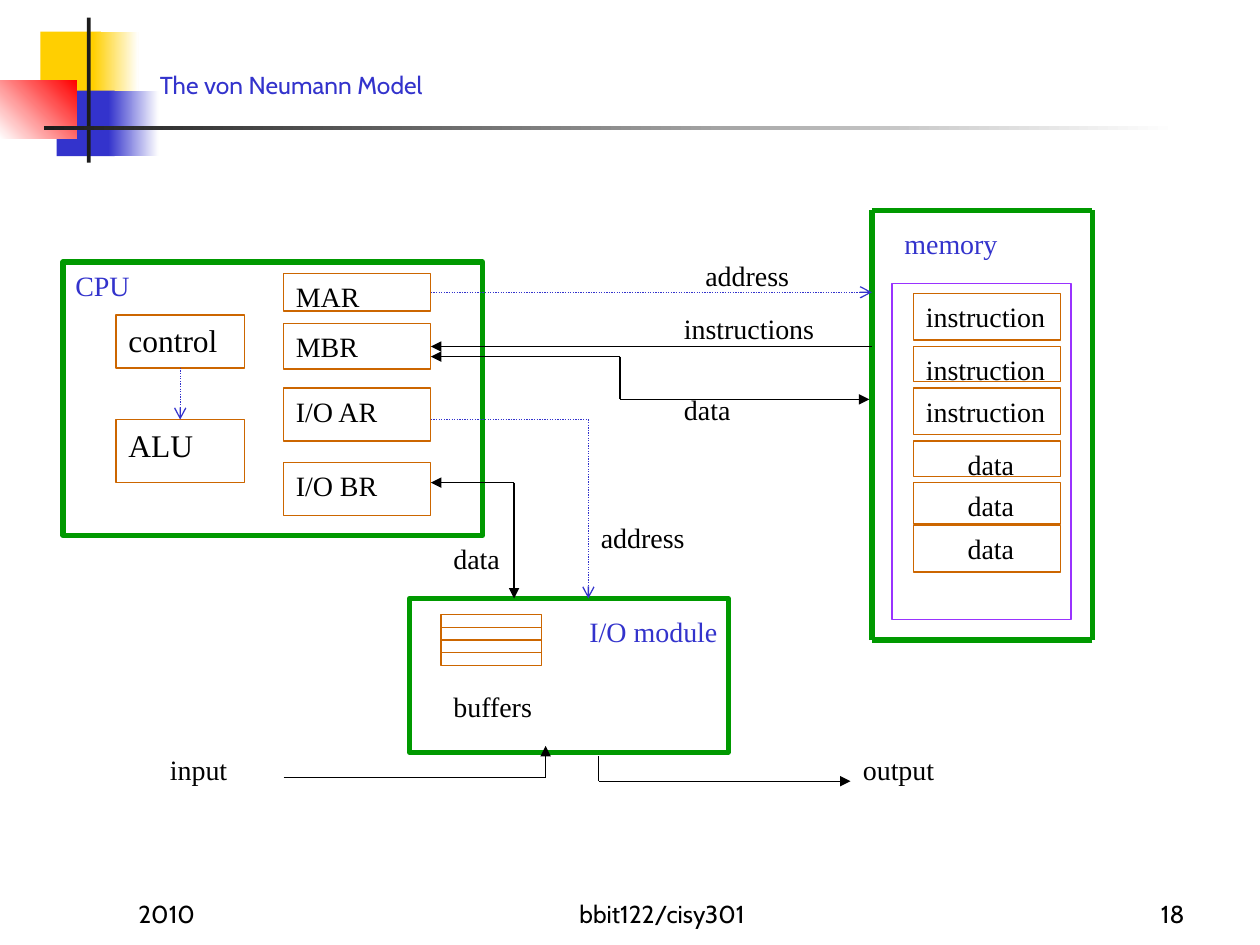
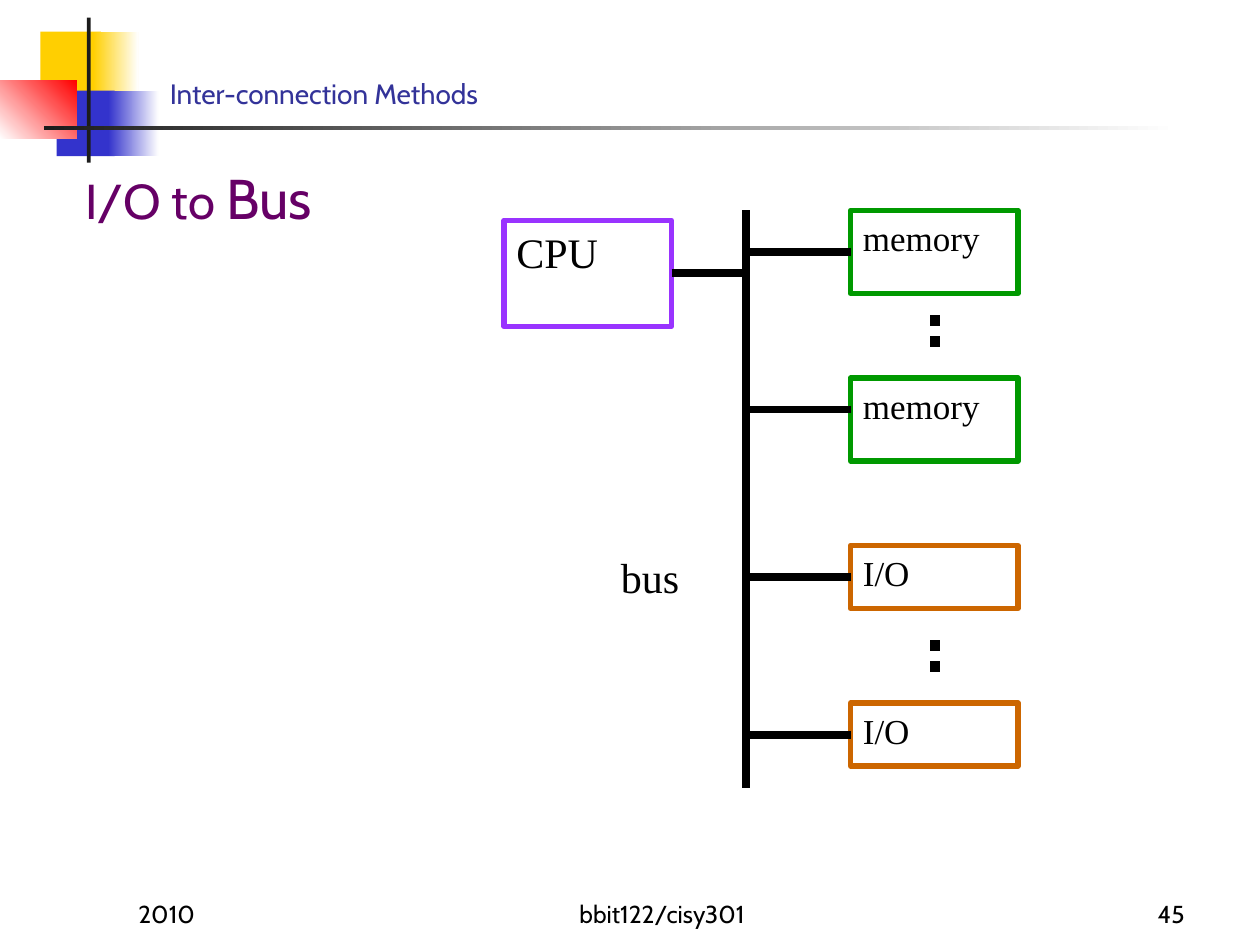
import pptx
import pptx.dml.color
import pptx.enum.dml
import pptx.enum.shapes
import pptx.enum.text
import pptx.oxml.ns
import pptx.util
from lxml import etree

Inches = pptx.util.Inches
ALIGN = pptx.enum.text.PP_ALIGN
ANCHOR = pptx.enum.text.MSO_ANCHOR
DOTS = pptx.enum.dml.MSO_LINE.ROUND_DOT
RECT = pptx.enum.shapes.MSO_SHAPE.RECTANGLE
STRAIGHT = pptx.enum.shapes.MSO_CONNECTOR.STRAIGHT

HUES = {
    "black": "000000",
    "white": "FFFFFF",
    "ink": "1C1C1C",
    "gold": "FFCF01",
    "red": "FF0000",
    "blue": "3333CC",
    "navy": "333399",
    "plum": "660066",
    "green": "009900",
    "orange": "CC6600",
    "violet": "9933FF",
}
SANS = "Cabin"
SERIF = "Times New Roman"
FRAME = {
    "word_wrap": True,
    "vertical_anchor": ANCHOR.TOP,
    "margin_left": Inches(0.1),
    "margin_right": Inches(0.1),
    "margin_top": Inches(0.05),
    "margin_bottom": Inches(0.05),
}
LOW = {"vertical_anchor": ANCHOR.BOTTOM}
INDENT = {"margin_left": Inches(0.43)}


def tint(name):
    return pptx.dml.color.RGBColor.from_string(HUES[name])


def apply(item, values):
    for key, value in values.items():
        setattr(item, key, value)


def write(shape, parts, hue="black", face=SERIF, align=ALIGN.LEFT, extra=None):
    frame = shape.text_frame
    apply(frame, {**FRAME, **(extra or {})})
    line = frame.paragraphs[0]
    line.alignment = align
    for text, size in parts:
        run = line.add_run()
        run.text = text
        apply(run.font, {"size": pptx.util.Pt(size), "name": face})
        run.font.color.rgb = tint(hue)


def label(slide, at, text, size=16, **look):
    box = slide.shapes.add_textbox(*map(Inches, at))
    write(box, [(text, size)], **look)


def block(slide, at):
    shape = slide.shapes.add_shape(RECT, *map(Inches, at))
    shape.shadow.inherit = False
    return shape


def box(slide, at, edge, width=0.75, text=None, size=16, **look):
    shape = block(slide, at)
    shape.fill.background()
    shape.line.color.rgb = tint(edge)
    shape.line.width = pptx.util.Pt(width)
    if text:
        write(shape, [(text, size)], **look)
    return shape


def patch(slide, at, first, last=None, angle=0):
    shape = block(slide, at)
    shape.line.fill.background()
    if last is None:
        shape.fill.solid()
        shape.fill.fore_color.rgb = tint(first)
        return
    shape.fill.gradient()
    shape.fill.gradient_angle = angle
    for stop, hue in zip(shape.fill.gradient_stops, (first, last)):
        stop.color.rgb = tint(hue)


def wire(slide, start, end, hue="black", width=0.75, dash=None, head=None, tail=None):
    link = slide.shapes.add_connector(STRAIGHT, *map(Inches, (*start, *end)))
    link.line.color.rgb = tint(hue)
    apply(link.line, {"width": pptx.util.Pt(width), "dash_style": dash})
    name = pptx.oxml.ns.qn
    for tag, kind in (("a:headEnd", head), ("a:tailEnd", tail)):
        if kind:
            etree.SubElement(link.line._get_or_add_ln(), name(tag), type=kind)
    etree.SubElement(link._element.spPr, name("a:effectLst"))
    return link


def route(slide, points, head=None, tail=None, **look):
    last = len(points) - 2
    for i, (start, end) in enumerate(zip(points, points[1:])):
        wire(slide, start, end, head=None if i else head,
             tail=tail if i == last else None, **look)


def base(deck, number):
    slide = deck.slides.add_slide(deck.slide_layouts[6])
    patch(slide, (0.32, 0.25, 0.48, 0.52), "gold")
    patch(slide, (0.74, 0.25, 0.36, 0.52), "gold", "white")
    patch(slide, (0.45, 0.72, 0.46, 0.52), "blue")
    patch(slide, (0.86, 0.72, 0.4, 0.52), "blue", "white")
    patch(slide, (0, 0.64, 0.61, 0.46), "white", "red", 45)
    patch(slide, (0.69, 0.14, 0.03, 1.15), "ink")
    patch(slide, (0.35, 1, 9, 0.03), "ink", "white")
    for left, width, text, align in (
        (1, 2.08, "2010", ALIGN.LEFT),
        (3.67, 3.17, "bbit122/cisy301", ALIGN.CENTER),
        (7.42, 2.08, number, ALIGN.RIGHT),
    ):
        label(slide, (left, 6.92, width, 0.5), text, 14,
              face=SANS, align=align, extra=LOW)
    return slide


def model(deck):
    slide = base(deck, "18")
    label(slide, (1.17, 0.42, 7, 0.42), "The von Neumann Model", 14,
          hue="blue", face=SANS, extra=LOW)

    box(slide, (0.5, 2.08, 3.33, 2.17), "green", 3, "CPU", hue="blue")
    cells = {}
    for text, top, height in (("MAR", 2.17, 0.3), ("MBR", 2.57, 0.36),
                              ("I/O AR", 3.08, 0.42), ("I/O BR", 3.67, 0.42)):
        cells[text] = box(slide, (2.25, top, 1.17, height), "orange", text=text)
    control = box(slide, (0.92, 2.5, 1.02, 0.42), "orange", text="control", size=18)
    alu = box(slide, (0.92, 3.33, 1.02, 0.5), "orange", text="ALU", size=18)

    route(slide, [(6.92, 1.67), (8.67, 1.67), (8.67, 5.08), (6.92, 5.08), (6.92, 1.67)],
          hue="green", width=3)
    box(slide, (7.08, 2.25, 1.42, 2.67), "violet")
    for text, top, height in (
        ("instruction", 2.33, 0.37), ("instruction", 2.75, 0.28),
        ("instruction", 3.08, 0.37), ("data", 3.5, 0.28),
        ("data", 3.83, 0.33), ("data", 4.17, 0.37),
    ):
        box(slide, (7.25, top, 1.17, height), "orange", text=text,
            extra=INDENT if text == "data" else None)

    box(slide, (3.25, 4.75, 2.53, 1.22), "green", 3)
    for i in range(4):
        box(slide, (3.5, 4.88 + 0.1 * i, 0.8, 0.1), "orange")

    signal = {"hue": "blue", "dash": DOTS, "tail": "arrow"}
    both = {"head": "triangle", "tail": "triangle"}
    order = wire(slide, (1.43, 2.92), (1.43, 3.33), **signal)
    order.begin_connect(control, 2)
    order.end_connect(alu, 0)
    wire(slide, (3.42, 2.32), (6.92, 2.32), **signal).begin_connect(cells["MAR"], 3)
    fetch = wire(slide, (6.92, 2.75), (3.42, 2.75), tail="triangle")
    fetch.end_connect(cells["MBR"], 3)
    route(slide, [(3.42, 2.83), (4.92, 2.83), (4.92, 3.17), (6.9, 3.17)], **both)
    route(slide, [(3.42, 3.33), (4.67, 3.33), (4.67, 4.75)], **signal)
    route(slide, [(3.42, 3.83), (4.08, 3.83), (4.08, 4.75)], **both)
    route(slide, [(2.25, 6.17), (4.33, 6.17), (4.33, 5.92)], tail="triangle")
    route(slide, [(4.75, 6), (4.75, 6.2), (6.75, 6.2)], tail="triangle")

    for text, left, top, width in (
        ("address", 5.5, 2, 1.02), ("instructions", 5.33, 2.42, 1.27),
        ("data", 5.33, 3.07, 0.82), ("address", 4.67, 4.08, 0.92),
        ("data", 3.5, 4.25, 0.82), ("buffers", 3.5, 5.42, 1),
        ("input", 1.25, 5.92, 0.98), ("output", 6.75, 5.92, 1),
    ):
        label(slide, (left, top, width, 0.37), text)
    label(slide, (4.58, 4.83, 1.58, 0.37), "I/O module", hue="blue")
    label(slide, (7.08, 1.75, 1.58, 0.37), "memory", hue="blue")


def bus(deck):
    slide = base(deck, "45")
    label(slide, (1.25, 0.5, 8.42, 0.42), "Inter-connection Methods", 16,
          hue="navy", face=SANS, extra=LOW)
    topic = slide.shapes.add_textbox(*map(Inches, (0.58, 1.25, 8.58, 1.08)))
    write(topic, [("I/O to ", 28), ("Bus", 32)], hue="plum", face=SANS)

    wire(slide, (5.92, 1.67), (5.92, 6.25), width=4.5)
    label(slide, (4.83, 4.33, 0.83, 0.5), "bus", 24)
    cpu = box(slide, (4, 1.75, 1.33, 0.84), "violet", 3, "CPU", 24)
    wire(slide, (5.33, 2.17), (5.92, 2.17), width=4.5).begin_connect(cpu, 3)
    for text, top, height, edge, level in (
        ("memory", 1.67, 0.66, "green", 2), ("memory", 3, 0.66, "green", 3.25),
        ("I/O", 4.33, 0.5, "orange", 4.58), ("I/O", 5.58, 0.5, "orange", 5.83),
    ):
        unit = box(slide, (6.75, top, 1.33, height), edge, 3, text, 20)
        link = wire(slide, (5.92, level), (6.75, level), width=4.5)
        if abs(top + height / 2 - level) < 0.01:
            link.end_connect(unit, 1)
    for top in (2.5, 5.08):
        wire(slide, (7.42, top), (7.42, top + 0.33), width=6, dash=DOTS)


def main():
    deck = pptx.Presentation()
    apply(deck, {"slide_width": Inches(10), "slide_height": Inches(7.5)})
    model(deck)
    bus(deck)
    deck.save("out.pptx")


if __name__ == "__main__":
    main()
